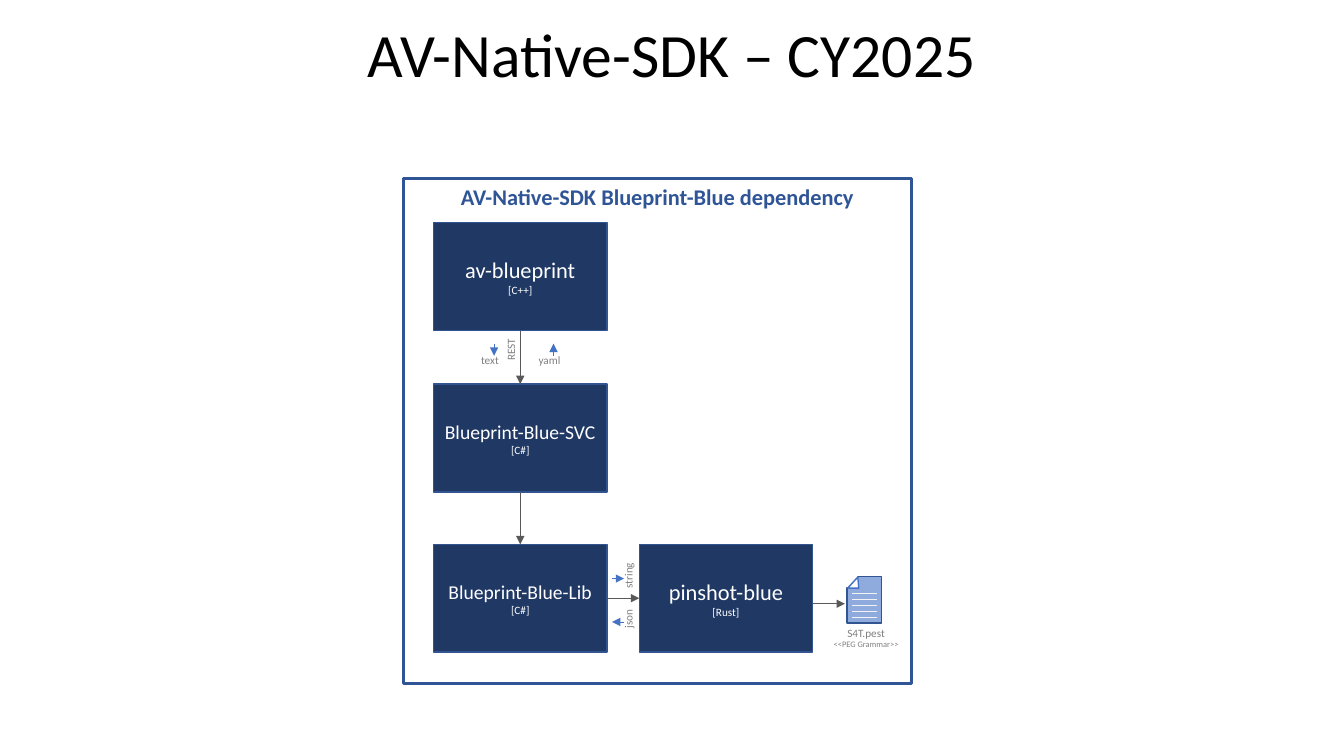
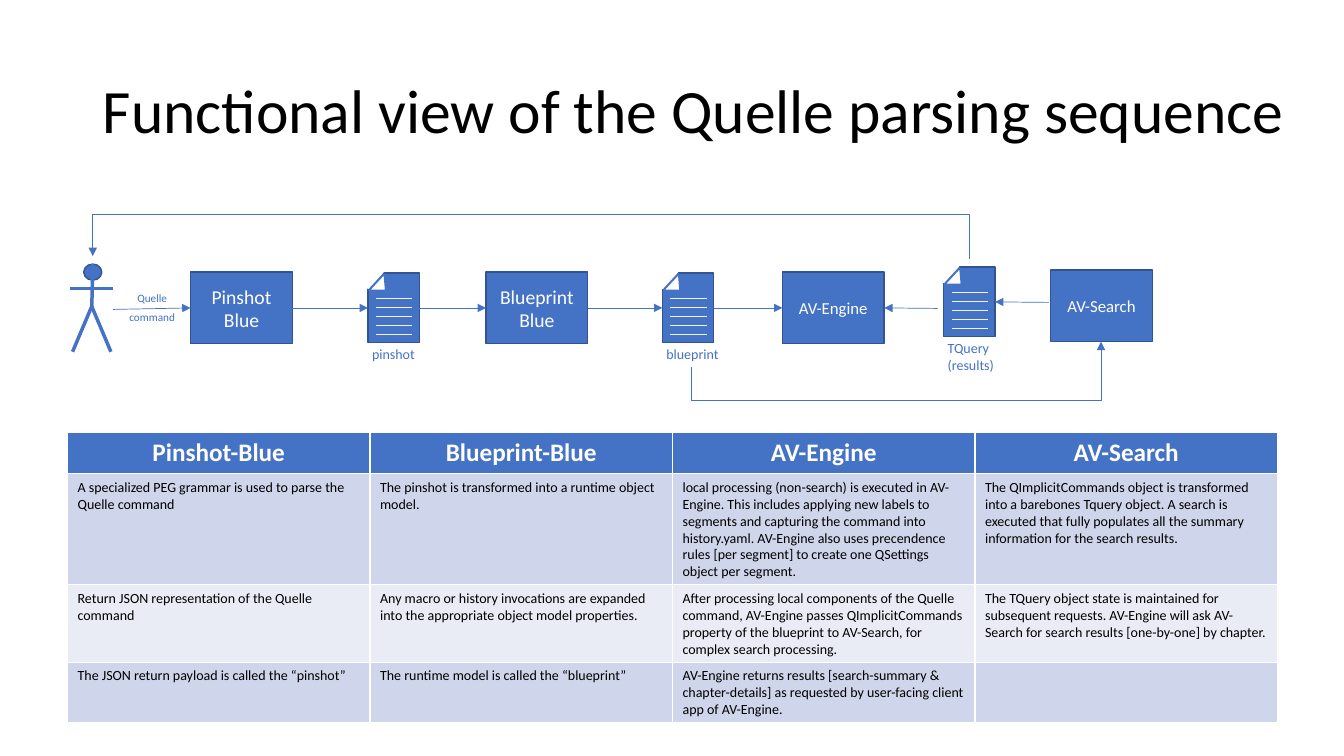
import dataclasses
import pptx
import pptx.util
import pptx.dml.color
import pptx.enum.shapes
import pptx.enum.text
import pptx.oxml.ns
import lxml.etree

Inches = pptx.util.Inches
Pt = pptx.util.Pt
Kind = pptx.enum.shapes.MSO_SHAPE
Wire = pptx.enum.shapes.MSO_CONNECTOR
Align = pptx.enum.text.PP_ALIGN
Anchor = pptx.enum.text.MSO_ANCHOR
qn = pptx.oxml.ns.qn


@dataclasses.dataclass(frozen=True)
class Theme:
    font: str = "Calibri"
    white: str = "FFFFFF"
    black: str = "000000"
    blue: str = "4472C4"
    edge: str = "325491"
    frame: str = "2F5597"
    navy: str = "203864"
    pale: str = "8FAADC"
    gray: str = "808080"
    dark: str = "595959"
    rule: str = "F2F2F2"
    odd: str = "CFD5EA"
    even: str = "E9EBF5"
    title: int = 44
    head: int = 18
    big: int = 16
    mid: int = 14
    small: int = 12
    note: int = 10
    tiny: int = 8
    micro: int = 6
    thin: float = 0.5
    thick: float = 2.5


T = Theme()
TOP, BOTTOM, LEFT, RIGHT = 0, 2, 1, 3

STACK = {
    "print": (4.3, 2.21, "av-blueprint", "[C++]", T.big),
    "svc": (4.3, 3.81, "Blueprint-Blue-SVC", "[C#]", T.mid),
    "lib": (4.3, 5.4, "Blueprint-Blue-Lib", "[C#]", T.mid),
    "pin": (6.34, 5.4, "pinshot-blue", "[Rust]", T.big),
}
CALLS = [("print", BOTTOM, "svc", TOP), ("svc", BOTTOM, "lib", TOP),
         ("lib", RIGHT, "pin", LEFT)]
TAGS = [
    ("text", (4.3, 3.46, 1.12, 0.24), 0),
    ("yaml", (4.89, 3.46, 1.12, 0.24), 0),
    ("REST", (4.79, 3.35, 0.56, 0.24), 270),
    ("string", (5.83, 5.59, 0.81, 0.24), 270),
    ("json", (5.83, 6.02, 0.81, 0.24), 270),
]
HINTS = [((4.9, 3.41), (4.9, 3.53)), ((5.49, 3.53), (5.49, 3.41)),
         ((6.07, 5.74), (6.19, 5.74)), ((6.19, 6.17), (6.07, 6.17))]

STEPS = {
    "pin": (1.89, 2.7, ["Pinshot Blue"], T.mid),
    "print": (4.82, 2.7, ["Blueprint", "Blue"], T.mid),
    "engine": (7.76, 2.7, ["AV-Engine"], T.small),
    "search": (10.42, 2.68, ["AV-Search"], T.small),
}
FILES = {
    "pinshot": (3.65, 2.71, ["pinshot"]),
    "blueprint": (6.57, 2.71, ["blueprint"]),
    "query": (9.36, 2.65, ["TQuery", "(results)"]),
}
FLOW = [("pin", "pinshot"), ("pinshot", "print"), ("print", "blueprint"),
        ("blueprint", "engine")]
LIMBS = [((0.92, 2.62), (0.91, 3.08)), ((0.91, 3.04), (1.1, 3.49)),
         ((0.91, 3.04), (0.72, 3.49)), ((1.12, 2.86), (0.69, 2.86))]
LOOPS = [((6.86, 3.64), (10.92, 3.39), 3.97),
         ((9.61, 2.57), (0.92, 2.54), 2.13)]
ROWS = [
    ["Pinshot-Blue", "Blueprint-Blue", "AV-Engine", "AV-Search"],
    ["A specialized PEG grammar is used to parse the Quelle command",
     "The pinshot is transformed into a runtime object model.",
     "local processing (non-search) is executed in AV-Engine. This includes "
     "applying new labels to segments and capturing the command into "
     "history.yaml. AV-Engine also uses precendence rules [per segment] to "
     "create one QSettings object per segment.",
     "The QImplicitCommands object is transformed into a barebones Tquery "
     "object. A search is executed that fully populates all the summary "
     "information for the search results."],
    ["Return JSON representation of the Quelle command",
     "Any macro or history invocations are expanded into the appropriate "
     "object model properties.",
     "After processing local components of the Quelle command, AV-Engine "
     "passes QImplicitCommands property of the blueprint to AV-Search, for "
     "complex search processing.",
     "The TQuery object state is maintained for subsequent requests. "
     "AV-Engine will ask AV-Search for search results [one-by-one] by "
     "chapter."],
    ["The JSON return payload is called the “pinshot”",
     "The runtime model is called the “blueprint”",
     "AV-Engine returns results [search-summary & chapter-details] as "
     "requested by user-facing client app of AV-Engine.", ""],
]


def put(thing, **vals):
    for key, val in vals.items():
        setattr(thing, key, val)


def rgb(code):
    return pptx.dml.color.RGBColor.from_string(code)


def paint(fill, code):
    fill.solid()
    fill.fore_color.rgb = rgb(code)


def write(frame, lines, color, align=Align.CENTER, bold=False, **form):
    for num, (text, size) in enumerate(lines):
        para = frame.add_paragraph() if num else frame.paragraphs[0]
        put(para, alignment=align, **form)
        run = para.add_run()
        run.text = text
        put(run.font, name=T.font, size=Pt(size), bold=bold)
        run.font.color.rgb = rgb(color)


def shape(slide, kind, area, fill, edge=T.edge, width=1, turn=0):
    item = slide.shapes.add_shape(kind, *map(Inches, area))
    item.shadow.inherit = False
    item.rotation = turn
    paint(item.fill, fill)
    paint(item.line.fill, edge)
    item.line.width = Pt(width)
    return item


def block(slide, area, lines, fill):
    item = shape(slide, Kind.RECTANGLE, area, fill)
    put(item.text_frame, word_wrap=True, vertical_anchor=Anchor.MIDDLE)
    write(item.text_frame, lines, T.white)
    return item


def label(slide, area, lines, color, turn=0, **form):
    item = slide.shapes.add_textbox(*map(Inches, area))
    item.rotation = turn
    put(item.text_frame, word_wrap=True, margin_left=0, margin_right=0)
    write(item.text_frame, lines, color, **form)


def line(slide, start, end, color=T.blue, width=T.thin, arrow=True,
         kind=Wire.STRAIGHT):
    item = slide.shapes.add_connector(kind, *map(Inches, (*start, *end)))
    paint(item.line.fill, color)
    item.line.width = Pt(width)
    props = item._element.spPr
    if arrow:
        tip = lxml.etree.SubElement(props.find(qn("a:ln")), qn("a:tailEnd"))
        tip.set("type", "triangle")
    lxml.etree.SubElement(props, qn("a:effectLst"))
    return item


def join(slide, first, out, last, into, color=T.blue):
    item = line(slide, (0, 0), (1, 1), color)
    item.begin_connect(first, out)
    item.end_connect(last, into)


def loop(slide, start, end, bend):
    (ax, ay), (bx, by) = start, end
    wide, high = abs(by - ay), abs(bx - ax)
    item = line(slide, start, end, kind=Wire.ELBOW)
    put(item, left=Inches((ax + bx - wide) / 2),
        top=Inches((ay + by - high) / 2),
        width=Inches(wide), height=Inches(high))
    props = item._element.spPr
    frame = props.find(qn("a:xfrm"))
    marks = {"rot": "5400000", "flipH": str(int(by < ay)),
             "flipV": str(int(bx > ax))}
    for key, val in marks.items():
        frame.set(key, val)
    geom = props.find(qn("a:prstGeom"))
    gaps = geom.find(qn("a:avLst"))
    if gaps is None:
        gaps = lxml.etree.SubElement(geom, qn("a:avLst"))
    guide = lxml.etree.SubElement(gaps, qn("a:gd"))
    guide.set("name", "adj1")
    guide.set("fmla", f"val {round((bend - ay) / (by - ay) * 100000)}")


def page(slide, left, top, fill=T.blue, scale=1):
    def spot(x, y):
        return left + x * scale, top + y * scale

    wide, high = 0.22 * scale, 0.12 * scale
    sheet = shape(slide, Kind.RECTANGLE,
                  (left, top, 0.51 * scale, 0.69 * scale), fill)
    for x, y, edge, turn in [(-0.08, -0.03, T.white, 312.5),
                             (0.02, 0.07, T.blue, 132.7)]:
        shape(slide, Kind.ISOSCELES_TRIANGLE, (*spot(x, y), wide, high),
              T.white, edge, turn=turn)
    for num in range(5):
        y = 0.25 + 0.09 * num
        line(slide, spot(0.08, y), spot(0.44, y), T.rule, arrow=False)
    return sheet


def start(deck, text, area, align):
    slide = deck.slides.add_slide(deck.slide_layouts[5])
    title = slide.shapes.title
    put(title, **dict(zip(("left", "top", "width", "height"),
                          map(Inches, area))))
    put(title.text_frame, word_wrap=True, vertical_anchor=Anchor.MIDDLE,
        auto_size=pptx.enum.text.MSO_AUTO_SIZE.NONE)
    write(title.text_frame, [(text, T.title)], T.black, align,
          line_spacing=0.9)
    return slide


def depend(deck):
    slide = start(deck, "AV-Native-SDK – CY2025", (0, 0.11, 13.33, 0.92),
                  Align.CENTER)
    frame = shape(slide, Kind.RECTANGLE, (4, 1.77, 5.04, 5.01), T.white,
                  T.frame, 2.25)
    frame.text_frame.vertical_anchor = Anchor.TOP
    write(frame.text_frame,
          [("AV-Native-SDK Blueprint-Blue dependency", T.big)],
          T.frame, bold=True)
    parts = {key: block(slide, (x, y, 1.72, 1.07),
                        [(name, size), (lang, T.tiny)], T.navy)
             for key, (x, y, name, lang, size) in STACK.items()}
    for first, out, last, into in CALLS:
        join(slide, parts[first], out, parts[last], into, T.dark)
    line(slide, (8.06, 5.99), (8.38, 5.99), T.dark)
    page(slide, 8.4, 5.72, T.pale, 0.67)
    label(slide, (8.14, 6.16, 0.9, 0.34),
          [("S4T.pest", T.tiny), ("<<PEG Grammar>>", T.micro)], T.gray)
    for text, area, turn in TAGS:
        label(slide, area, [(text, T.tiny)], T.gray, turn)
    for ends in HINTS:
        line(slide, *ends)


def grid(slide):
    table = slide.shapes.add_table(
        len(ROWS), len(ROWS[0]), *map(Inches, (0.67, 4.29, 12, 1.64))).table
    for r, row in enumerate(ROWS):
        head = r == 0
        fill = T.blue if head else T.odd if r % 2 else T.even
        for c, text in enumerate(row):
            cell = table.cell(r, c)
            paint(cell.fill, fill)
            write(cell.text_frame, [(text, T.head if head else T.note)],
                  T.white if head else T.black,
                  Align.CENTER if head else Align.LEFT, head)


def sequence(deck):
    slide = start(deck, "Functional view of the Quelle parsing sequence",
                  (0.92, 0.4, 12.1, 1.45), Align.LEFT)
    shape(slide, Kind.OVAL, (0.83, 2.62, 0.18, 0.16), T.blue)
    for ends in LIMBS:
        line(slide, *ends, width=T.thick, arrow=False)
    parts = {key: block(slide, (x, y, 1.01, 0.71),
                        [(text, size) for text in texts], T.blue)
             for key, (x, y, texts, size) in STEPS.items()}
    for key, (x, y, texts) in FILES.items():
        parts[key] = page(slide, x, y)
        label(slide, (x + 0.04, y + 0.67, 0.64, 0.1 + 0.17 * len(texts)),
              [(text, T.note) for text in texts], T.blue, align=Align.LEFT)
    for first, last in FLOW:
        join(slide, parts[first], RIGHT, parts[last], LEFT)
    line(slide, (1.12, 3.07), (1.89, 3.06)).end_connect(parts["pin"], LEFT)
    line(slide, (9.3, 3.06), (8.77, 3.06)).end_connect(parts["engine"], RIGHT)
    line(slide, (10.4, 3), (9.87, 3)).end_connect(parts["query"], RIGHT)
    label(slide, (1.14, 2.84, 0.74, 0.43),
          [("Quelle", T.tiny), ("command", T.tiny)], T.blue,
          space_after=Pt(4))
    for ends in LOOPS:
        loop(slide, *ends)
    grid(slide)


def main():
    deck = pptx.Presentation()
    put(deck, slide_width=Inches(13.33), slide_height=Inches(7.5))
    depend(deck)
    sequence(deck)
    deck.save("out.pptx")


if __name__ == "__main__":
    main()
